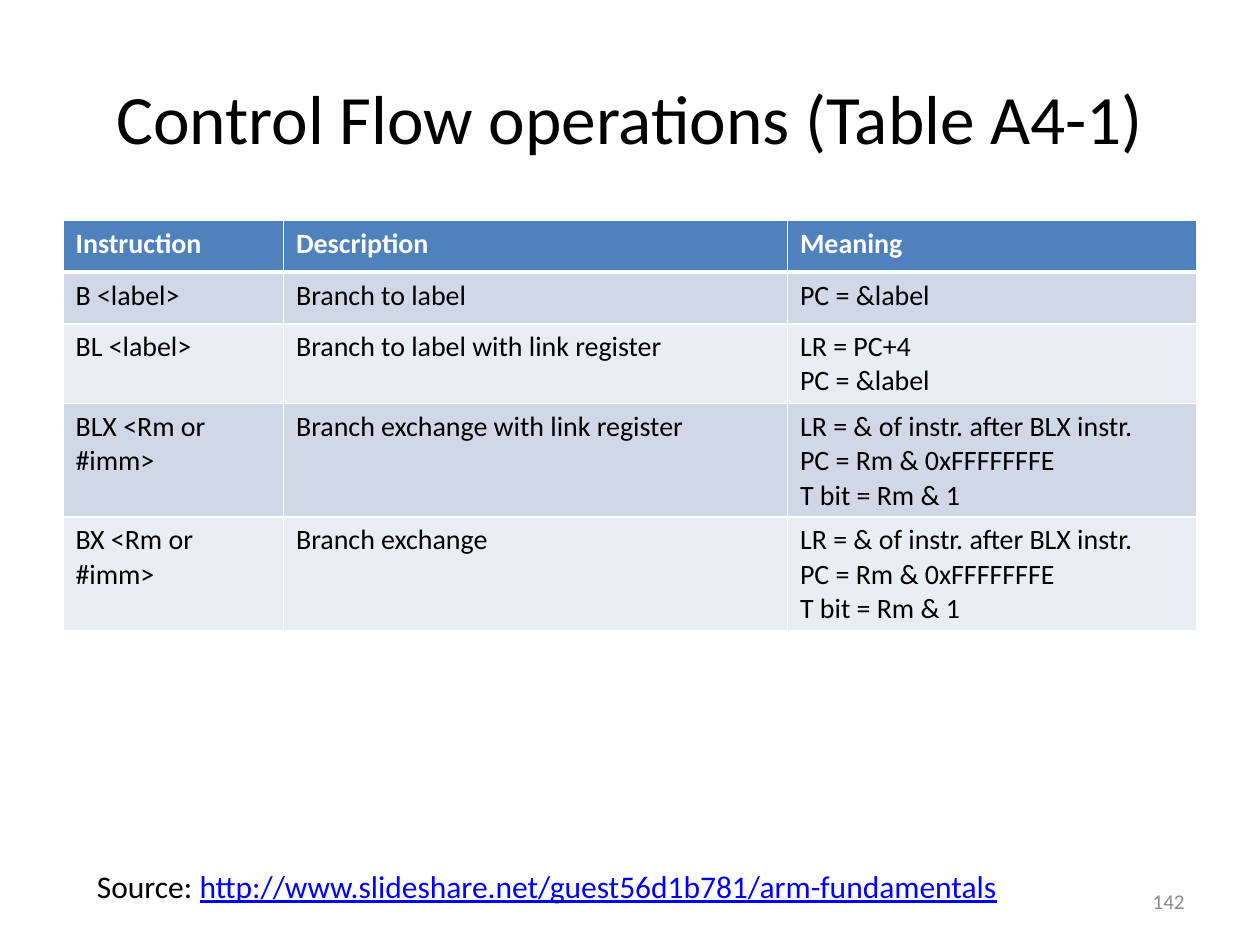
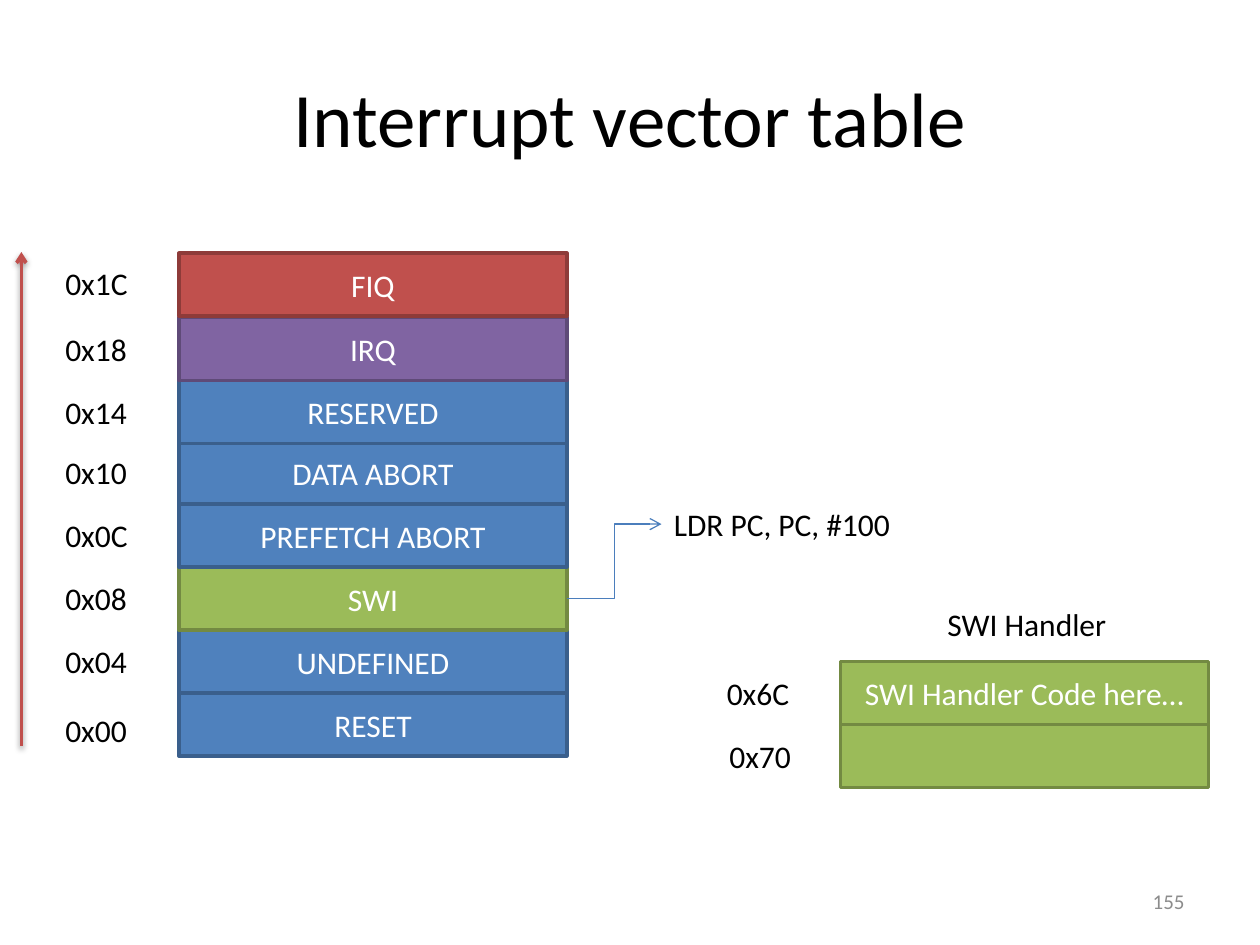
from dataclasses import dataclass

import pptx
import pptx.util
import pptx.dml.color
import pptx.enum.shapes
import pptx.enum.text
import pptx.oxml
import pptx.oxml.ns
from lxml import etree

Inches = pptx.util.Inches
Pt = pptx.util.Pt
PP_ALIGN = pptx.enum.text.PP_ALIGN
ANCHOR = pptx.enum.text.MSO_ANCHOR
CONNECTOR = pptx.enum.shapes.MSO_CONNECTOR
qn = pptx.oxml.ns.qn


@dataclass(frozen=True)
class Theme:
    font: str = "Calibri"
    black: str = "000000"
    white: str = "FFFFFF"
    grey: str = "8C8C8C"
    link: str = "0000FF"
    blue: str = "4F81BD"
    blue_edge: str = "3A5F8C"
    green: str = "9BBB59"
    green_edge: str = "738A42"
    purple: str = "8064A2"
    purple_edge: str = "5F4A78"
    red: str = "C0504D"
    red_edge: str = "8E3B39"
    connector: str = "4B7EBC"
    bands: tuple = ("D0D8E8", "E9EDF4")
    title_size: float = 44
    body_size: float = 18
    table_size: float = 16
    number_size: float = 12


def rgb(value):
    return pptx.dml.color.RGBColor.from_string(value)


class Deck:
    def __init__(self, theme):
        self.theme = theme
        self.prs = pptx.Presentation()
        self.prs.slide_width, self.prs.slide_height = Inches(10), Inches(7.5)
        self.s = None

    def slide(self, title, number, title_size=None):
        t = self.theme
        self.s = self.prs.slides.add_slide(self.prs.slide_layouts[6])
        self.text(0.5, 0.3, 9, 1.25, title, size=title_size or t.title_size,
                  align=PP_ALIGN.CENTER, anchor=ANCHOR.MIDDLE)
        self.text(7.17, 6.95, 2.33, 0.4, number, size=t.number_size,
                  color=t.grey, align=PP_ALIGN.RIGHT, anchor=ANCHOR.MIDDLE)

    def run(self, p, text, size, color, bold=False, underline=False):
        r = p.add_run()
        r.text = text
        r.font.name = self.theme.font
        r.font.size = Pt(size)
        r.font.color.rgb = rgb(color)
        r.font.bold = bold
        r.font.underline = underline
        return r

    def text(self, x, y, w, h, text, size=None, color=None,
             align=PP_ALIGN.LEFT, anchor=ANCHOR.TOP):
        t = self.theme
        tf = self.s.shapes.add_textbox(
            Inches(x), Inches(y), Inches(w), Inches(h)).text_frame
        tf.word_wrap = True
        tf.vertical_anchor = anchor
        p = tf.paragraphs[0]
        p.alignment = align
        self.run(p, text, size or t.body_size, color or t.black)
        return p

    def box(self, x, y, w, h, text, fill, edge):
        t = self.theme
        sp = self.s.shapes.add_shape(
            pptx.enum.shapes.MSO_SHAPE.RECTANGLE,
            Inches(x), Inches(y), Inches(w), Inches(h))
        sp.shadow.inherit = False
        sp.fill.solid()
        sp.fill.fore_color.rgb = rgb(fill)
        sp.line.color.rgb = rgb(edge)
        sp.line.width = Pt(2)
        if text:
            tf = sp.text_frame
            tf.word_wrap = True
            tf.vertical_anchor = ANCHOR.MIDDLE
            p = tf.paragraphs[0]
            p.alignment = PP_ALIGN.CENTER
            self.run(p, text, t.body_size, t.white)

    def arrow(self, kind, start, end, color, width, shadow=False):
        cx = self.s.shapes.add_connector(
            kind, *(Inches(v) for v in (*start, *end)))
        cx.line.color.rgb = rgb(color)
        cx.line.width = Pt(width)
        etree.SubElement(cx.line._get_or_add_ln(), qn("a:tailEnd"), type="arrow")
        effects = etree.SubElement(cx._element.spPr, qn("a:effectLst"))
        if shadow:
            outer = etree.SubElement(
                effects, qn("a:outerShdw"), blurRad=str(Pt(3.1)),
                dist=str(Pt(1.6)), dir="5400000", rotWithShape="0")
            shade = etree.SubElement(outer, qn("a:srgbClr"), val=self.theme.black)
            etree.SubElement(shade, qn("a:alpha"), val="38000")

    def borders(self, cell, widths):
        tc_pr = cell._tc.get_or_add_tcPr()
        for i, (side, width) in enumerate(widths.items()):
            ln = etree.Element(qn(f"a:ln{side}"), w=str(Pt(width)))
            fill = etree.SubElement(ln, qn("a:solidFill"))
            etree.SubElement(fill, qn("a:srgbClr"), val=self.theme.white)
            tc_pr.insert(i, ln)

    def table(self, x, y, col_widths, row_height, rows):
        t = self.theme
        tbl = self.s.shapes.add_table(
            len(rows), len(col_widths), Inches(x), Inches(y),
            Inches(sum(col_widths)), Inches(row_height * len(rows))).table
        tbl.horz_banding = False
        for col, width in zip(tbl.columns, col_widths):
            col.width = Inches(width)
        for i, values in enumerate(rows):
            tbl.rows[i].height = Inches(row_height)
            header = i == 0
            for j, value in enumerate(values):
                cell = tbl.cell(i, j)
                cell.fill.solid()
                cell.fill.fore_color.rgb = rgb(
                    t.blue if header else t.bands[(i - 1) % 2])
                self.borders(cell, {"L": 1, "R": 1, "T": 3 if i == 1 else 1,
                                    "B": 3 if header else 1})
                tf = cell.text_frame
                for k, line in enumerate(value.split("\n")):
                    p = tf.add_paragraph() if k else tf.paragraphs[0]
                    self.run(p, line, t.table_size,
                             t.white if header else t.black, bold=header)


def control_flow(deck):
    t = deck.theme
    deck.slide("Control Flow operations (Table A4-1)", "142", title_size=39.6)

    # Instruction table
    exchange = "LR = & of instr. after BLX instr.\nPC = Rm & 0xFFFFFFFE\nT bit = Rm & 1"
    deck.table(0.5, 1.75, (1.75, 4, 3.25), 0.41, [
        ("Instruction", "Description", "Meaning"),
        ("B <label>", "Branch to label", "PC = &label"),
        ("BL <label>", "Branch to label with link register",
         "LR = PC+4\nPC = &label"),
        ("BLX <Rm or #imm>", "Branch exchange with link register", exchange),
        ("BX <Rm or #imm>", "Branch exchange", exchange),
    ])

    # Source line
    p = deck.text(0.67, 6.83, 8.08, 0.4, "Source: ")
    deck.run(p, "http://www.slideshare.net/guest56d1b781/arm-fundamentals",
             t.body_size, t.link, underline=True)


def vector_table(deck):
    t = deck.theme
    deck.slide("Interrupt vector table", "155")
    blue, green = (t.blue, t.blue_edge), (t.green, t.green_edge)
    purple, red = (t.purple, t.purple_edge), (t.red, t.red_edge)

    # Vectors from the lowest address up: address, name, colours, tops
    vectors = [
        ("0x00", "RESET", blue, 5.5, 5.59),
        ("0x04", "UNDEFINED", blue, 5, 5.05),
        ("0x08", "SWI", green, 4.5, 4.55),
        ("0x0C", "PREFETCH ABORT", blue, 4, 4.05),
        ("0x10", "DATA ABORT", blue, 3.5, 3.55),
        ("0x14", "RESERVED", blue, 3.02, 3.07),
        ("0x18", "IRQ", purple, 2.52, 2.57),
        ("0x1C", "FIQ", red, 2.01, 2.05),
    ]
    for address, name, colors, box_top, label_top in vectors:
        deck.box(1.42, box_top, 3.08, 0.5, name, *colors)
        deck.text(0.42, label_top, 0.83, 0.4, address)

    # Instruction held in the SWI vector
    deck.arrow(CONNECTOR.ELBOW, (4.5, 4.75), (5.25, 4.16), t.connector, 0.75)
    deck.text(5.25, 3.96, 3.17, 0.4, "LDR PC, PC, #100")

    # SWI handler
    deck.text(7.42, 4.75, 1.5, 0.4, "SWI Handler")
    handler = [("0x6C", 5.67, "SWI Handler Code here…"), ("0x70", 5.69, "")]
    for i, (address, left, code) in enumerate(handler):
        top = 5.25 + 0.5 * i
        deck.box(6.67, top, 2.92, 0.5, code, *green)
        deck.text(left, top + 0.05, 0.83, 0.4, address)

    # Direction of rising addresses
    deck.arrow(CONNECTOR.STRAIGHT, (0.17, 5.92), (0.17, 2), t.red, 2, shadow=True)


def main():
    deck = Deck(Theme())
    control_flow(deck)
    vector_table(deck)
    deck.prs.save("out.pptx")


if __name__ == "__main__":
    main()
